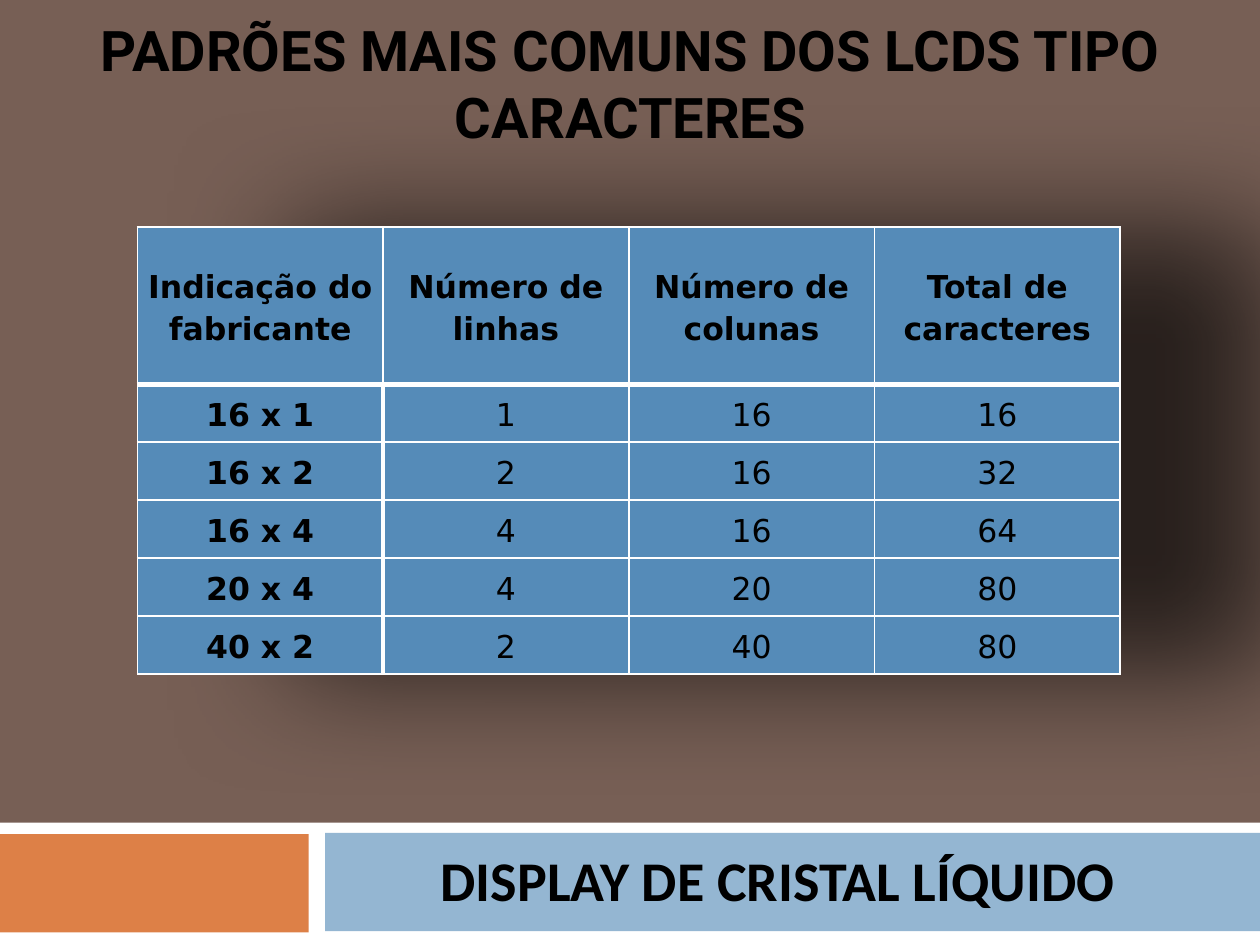
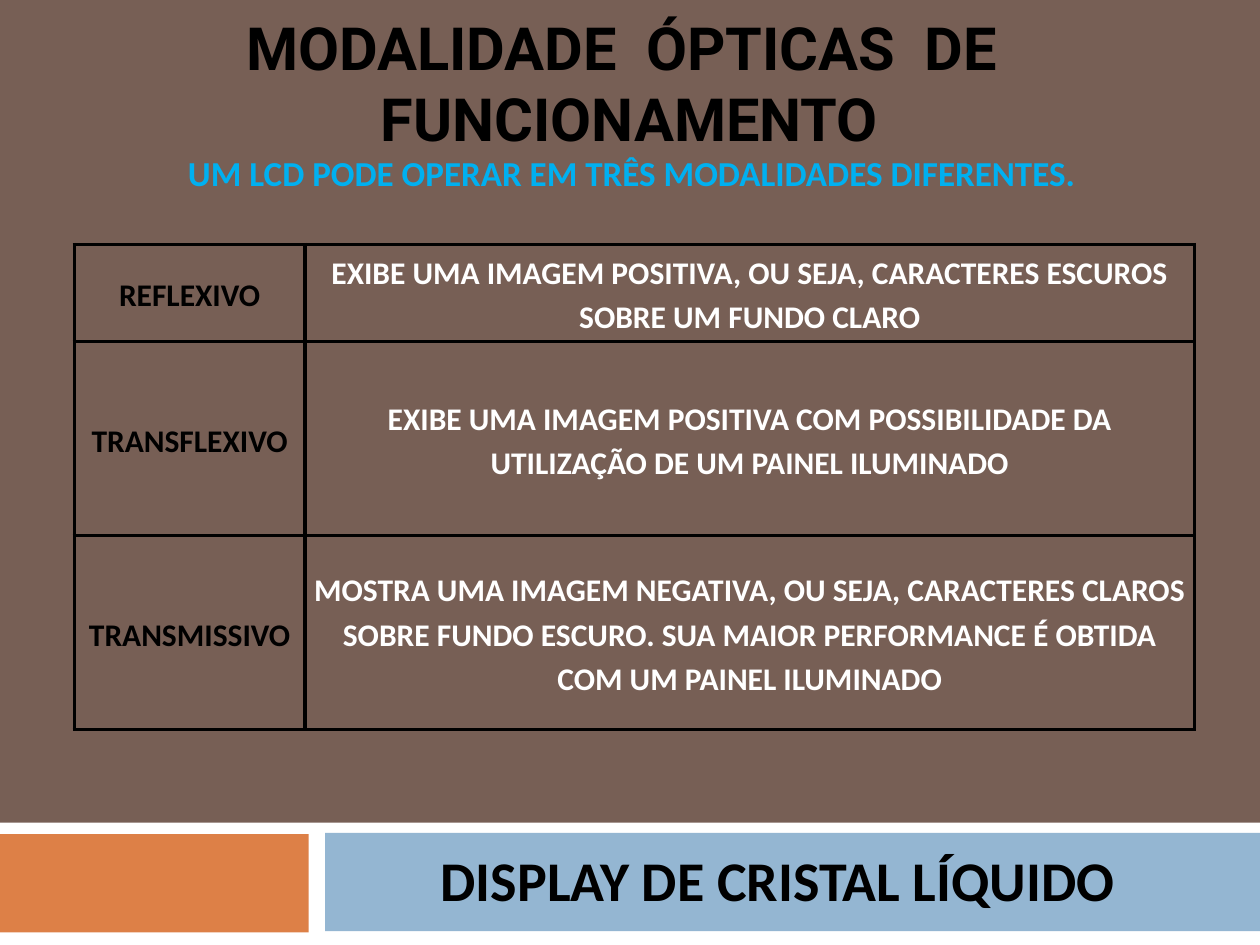
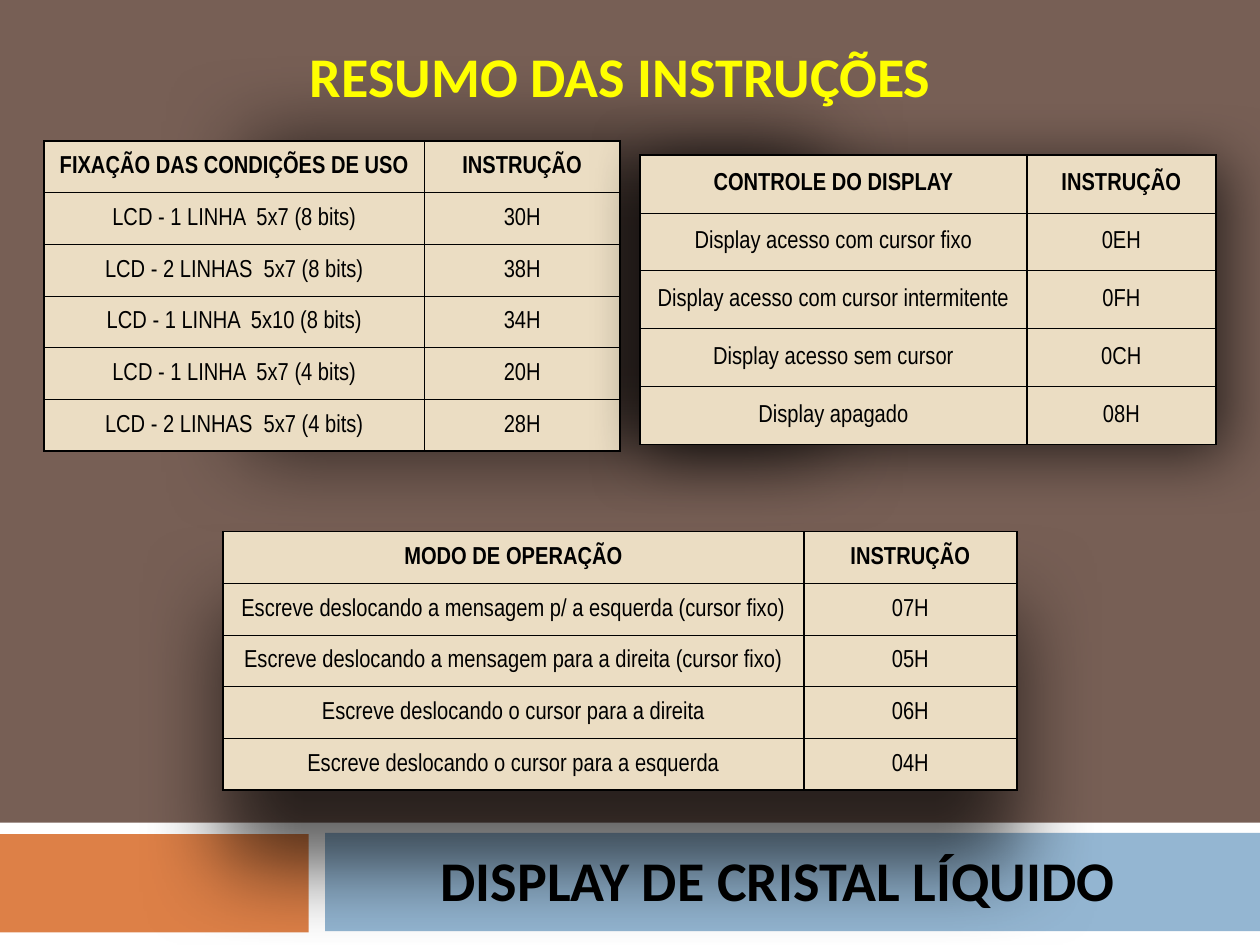
from lxml.etree import SubElement
from pptx import Presentation
from pptx.dml.color import RGBColor
from pptx.enum.shapes import MSO_SHAPE
from pptx.enum.text import MSO_ANCHOR, PP_ALIGN
from pptx.oxml import parse_xml
from pptx.oxml.ns import qn
from pptx.util import Inches, Pt

BROWN, ORANGE, LIGHT_BLUE, BLUE = "775F55", "DD8047", "94B6D2", "558BB8"
SAND, SKY, YELLOW, BLACK, WHITE = "EBDDC3", "00B0F0", "FFFF00", "000000", "FFFFFF"
DRAWING_NAMESPACE = "http://schemas.openxmlformats.org/drawingml/2006/main"
BANDS = [
    ((0, 6.53, 10, 0.97), WHITE),
    ((-0.01, 6.62, 2.46, 0.78), ORANGE),
    ((2.58, 6.61, 7.42, 0.78), LIGHT_BLUE),
]

CHARACTER_PATTERNS = [
    ["Indicação do fabricante", "Número de linhas", "Número de colunas", "Total de caracteres"],
    ["16 x 1", "1", "16", "16"],
    ["16 x 2", "2", "16", "32"],
    ["16 x 4", "4", "16", "64"],
    ["20 x 4", "4", "20", "80"],
    ["40 x 2", "2", "40", "80"],
]
OPTICAL_MODES = [
    ["REFLEXIVO", "EXIBE UMA IMAGEM POSITIVA, OU SEJA, CARACTERES ESCUROS SOBRE UM FUNDO CLARO"],
    ["TRANSFLEXIVO", "EXIBE UMA IMAGEM POSITIVA COM POSSIBILIDADE DA UTILIZAÇÃO DE UM PAINEL ILUMINADO"],
    ["TRANSMISSIVO", "MOSTRA UMA IMAGEM NEGATIVA, OU SEJA, CARACTERES CLAROS SOBRE FUNDO ESCURO. "
                     "SUA MAIOR PERFORMANCE É OBTIDA COM UM PAINEL ILUMINADO"],
]
USE_CONDITIONS = [
    ["FIXAÇÃO DAS CONDIÇÕES DE USO", "INSTRUÇÃO"],
    ["LCD - 1 LINHA  5x7 (8 bits)", "30H"],
    ["LCD - 2 LINHAS  5x7 (8 bits)", "38H"],
    ["LCD - 1 LINHA  5x10 (8 bits)", "34H"],
    ["LCD - 1 LINHA  5x7 (4 bits)", "20H"],
    ["LCD - 2 LINHAS  5x7 (4 bits)", "28H"],
]
DISPLAY_CONTROL = [
    ["CONTROLE DO DISPLAY", "INSTRUÇÃO"],
    ["Display acesso com cursor fixo", "0EH"],
    ["Display acesso com cursor intermitente", "0FH"],
    ["Display acesso sem cursor", "0CH"],
    ["Display apagado", "08H"],
]
OPERATION_MODE = [
    ["MODO DE OPERAÇÃO", "INSTRUÇÃO"],
    ["Escreve deslocando a mensagem p/ a esquerda (cursor fixo)", "07H"],
    ["Escreve deslocando a mensagem para a direita (cursor fixo)", "05H"],
    ["Escreve deslocando o cursor para a direita", "06H"],
    ["Escreve deslocando o cursor para a esquerda", "04H"],
]


def color(hex_value):
    return RGBColor.from_string(hex_value)


def paint(fill, hex_value):
    fill.solid()
    fill.fore_color.rgb = color(hex_value)


def format_text(text_frame, size, font_name, hex_value, bold=True):
    for para in text_frame.paragraphs:
        para.alignment = PP_ALIGN.CENTER
        for span in para.runs:
            span.font.size = Pt(size)
            span.font.name = font_name
            span.font.bold = bold
            span.font.color.rgb = color(hex_value)


def add_text(page, place, text, size, font_name="Calibri", hex_value=BLACK, anchor=MSO_ANCHOR.TOP):
    box = page.shapes.add_textbox(*map(Inches, place))
    frame = box.text_frame
    frame.word_wrap = True
    frame.vertical_anchor = anchor
    frame.text = text
    format_text(frame, size, font_name, hex_value)


def add_page(deck):
    """Add a slide with the shared background and lower bands."""
    page = deck.slides.add_slide(deck.slide_layouts[6])
    paint(page.background.fill, BROWN)
    for place, hex_value in BANDS:
        band = page.shapes.add_shape(MSO_SHAPE.RECTANGLE, *map(Inches, place))
        band.shadow.inherit = False
        paint(band.fill, hex_value)
        band.line.fill.background()
    return page


def add_footer(page):
    add_text(page, (2.16, 6.66, 8.03, 0.64), "DISPLAY DE CRISTAL LÍQUIDO", 32)


def set_border(cell, side, hex_value, width):
    properties = cell._tc.get_or_add_tcPr()
    line = SubElement(properties, qn(f"a:ln{side}"), w=str(Pt(width)))
    fill = SubElement(line, qn("a:solidFill"))
    SubElement(fill, qn("a:srgbClr"), val=hex_value)


def add_shadow(table, distance, direction, blur):
    """Cast a soft table shadow; lengths in inches, direction in degrees clockwise from right."""
    effect = parse_xml(
        f'<a:effectLst xmlns:a="{DRAWING_NAMESPACE}">'
        f'<a:outerShdw blurRad="{Inches(blur)}" dist="{Inches(distance)}" '
        f'dir="{direction * 60000}" algn="ctr" rotWithShape="0">'
        '<a:srgbClr val="000000"><a:alpha val="65000"/></a:srgbClr>'
        '</a:outerShdw></a:effectLst>')
    table._tbl.tblPr.insert(0, effect)


def add_grid(page, left, top, widths, heights, rows, style_cell, border_color, border_width,
             margins):
    """Build a table; style_cell formats a cell and border_width gives each edge's points."""
    frame = page.shapes.add_table(len(rows), len(widths), Inches(left), Inches(top),
                                  Inches(sum(widths)), Inches(sum(heights)))
    table = frame.table
    table.first_row = table.horz_banding = False
    for column, width in zip(table.columns, widths):
        column.width = Inches(width)
    for row, height in zip(table.rows, heights):
        row.height = Inches(height)
    for row, texts in enumerate(rows):
        for column, text in enumerate(texts):
            cell = table.cell(row, column)
            cell.text = text
            cell.vertical_anchor = MSO_ANCHOR.MIDDLE
            cell.margin_left = cell.margin_right = Inches(margins[0])
            cell.margin_top, cell.margin_bottom = Inches(margins[1]), 0
            edges = [("L", column), ("R", column + 1), ("T", row), ("B", row + 1)]
            for side, line in edges:
                set_border(cell, side, border_color, border_width(side, line, row, len(rows)))
            style_cell(cell, row, column)
    return table


def style_pattern(cell, row, column):
    paint(cell.fill, BLUE)
    para = cell.text_frame.paragraphs[0]
    para.line_spacing = 1.15
    para.space_after = Pt(10)
    format_text(cell.text_frame, 18, "DejaVu Sans", BLACK, row == 0 or column == 0)


def pattern_border(side, line, row, row_count):
    """Thick lines set off the header row and the first column below it."""
    return 3 if line == 1 and (side in "TB" or row > 0) else 1


def style_mode(cell, row, column):
    cell.fill.background()
    cell.text_frame.paragraphs[0].line_spacing = 1.15
    format_text(cell.text_frame, 18, "Calibri", WHITE if column else BLACK)


def mode_border(side, line, row, row_count):
    return 2.25


def style_instruction(cell, row, column):
    paint(cell.fill, SAND)
    format_text(cell.text_frame, 14, "Arial Narrow", BLACK, row == 0)


def instruction_border(side, line, row, row_count):
    return 0.5 if side in "TB" and 0 < line < row_count else 1


def add_instructions(page, left, top, widths, row_height, rows, shadow):
    table = add_grid(page, left, top, widths, [row_height] * len(rows), rows,
                     style_instruction, BLACK, instruction_border, (0.01, 0.01))
    add_shadow(table, *shadow)


def add_patterns_page(deck):
    page = add_page(deck)
    table = add_grid(page, 1.09, 1.8, [1.95] * 4, [1.25] + [0.46] * 5, CHARACTER_PATTERNS,
                     style_pattern, WHITE, pattern_border, (0.07, 0))
    add_shadow(table, 1.2, 0, 1)
    add_footer(page)
    add_text(page, (0.38, 0.34, 9.25, 0.63), "PADRÕES MAIS COMUNS DOS LCDS TIPO CARACTERES",
             32, "Roboto", anchor=MSO_ANCHOR.MIDDLE)


def add_modes_page(deck):
    page = add_page(deck)
    add_text(page, (0.84, 0.32, 8.31, 0.67), "MODALIDADE  ÓPTICAS  DE  FUNCIONAMENTO",
             34, "Roboto", anchor=MSO_ANCHOR.MIDDLE)
    add_text(page, (0.27, 1.15, 9.49, 0.44),
             "UM LCD PODE OPERAR EM TRÊS MODALIDADES DIFERENTES.", 20, hex_value=SKY)
    add_grid(page, 0.59, 1.94, [1.83, 7.06], [0.77, 1.54, 1.54], OPTICAL_MODES,
             style_mode, BLACK, mode_border, (0.07, 0))
    add_footer(page)


def add_instructions_page(deck):
    page = add_page(deck)
    add_footer(page)
    add_instructions(page, 0.35, 1.12, [3.02, 1.55], 0.41, USE_CONDITIONS, (1.6, 0, 0.7))
    add_instructions(page, 5.08, 1.23, [3.07, 1.5], 0.46, DISPLAY_CONTROL, (0.1, 45, 0.5))
    add_text(page, (0.83, 0.28, 8.19, 0.64), "RESUMO DAS INSTRUÇÕES", 32, hex_value=YELLOW)
    add_instructions(page, 1.77, 4.22, [4.61, 1.69], 0.41, OPERATION_MODE, (0.6, 90, 0.7))


def main():
    deck = Presentation()
    deck.slide_width, deck.slide_height = Inches(10), Inches(7.5)
    add_patterns_page(deck)
    add_modes_page(deck)
    add_instructions_page(deck)
    deck.save("out.pptx")


if __name__ == "__main__":
    main()
